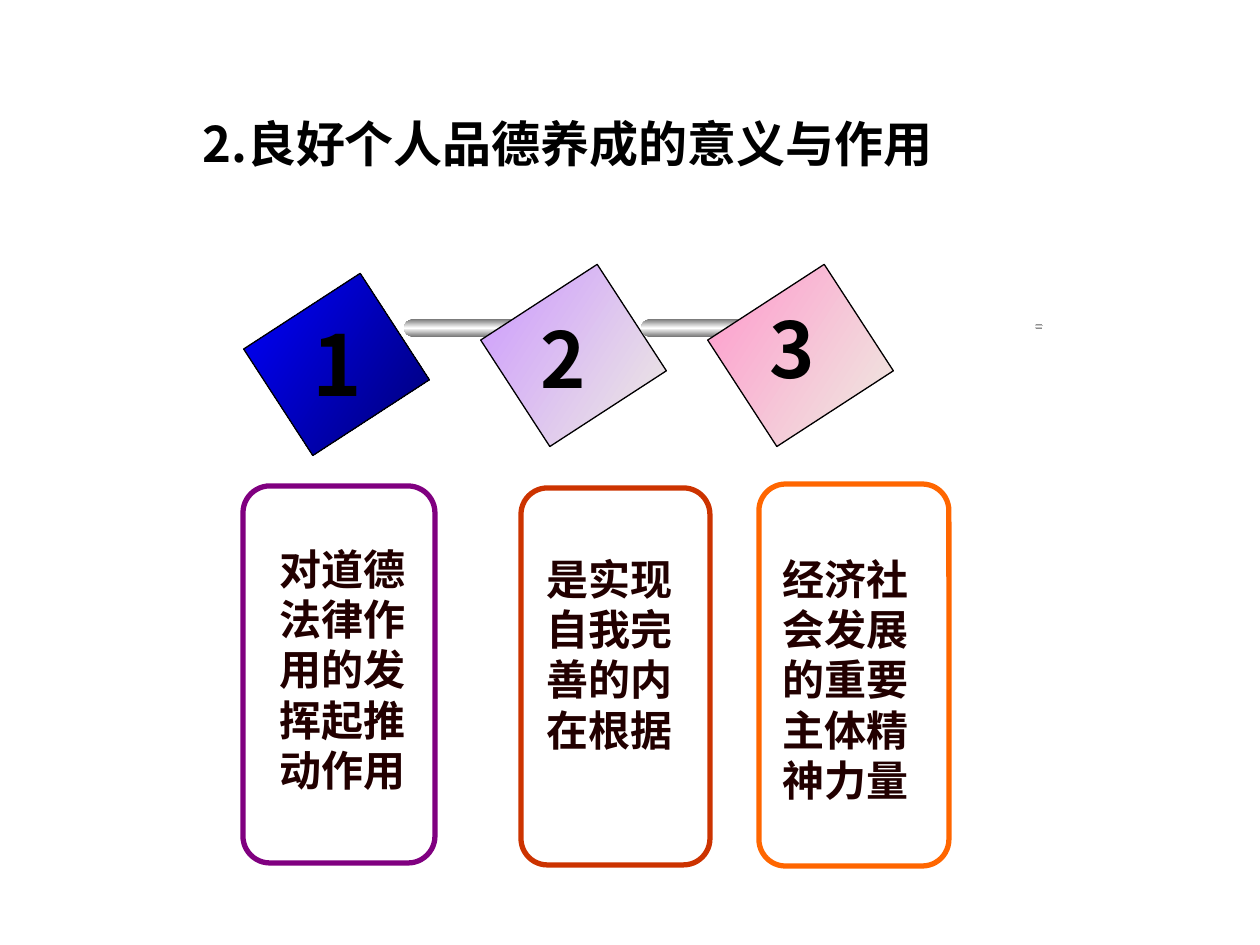
from lxml.etree import SubElement
from pptx import Presentation
from pptx.dml.color import RGBColor
from pptx.enum.shapes import MSO_SHAPE
from pptx.enum.text import MSO_ANCHOR, MSO_AUTO_SIZE, PP_ALIGN
from pptx.oxml.ns import qn
from pptx.util import Pt

PX = 914400 / 126
FONT = "Noto Sans CJK SC"
COLORS = {
    "black": "000000", "white": "FFFFFF", "yellow": "FFFF00", "text": "220000",
    "blue": "0000FF", "navy": "000076", "lilac": "CC99FF", "pink": "FF99CC",
    "cream": "EEECE1", "steel": "767676",
    "purple": "800080", "rust": "CC3300", "orange": "FF6600",
}
METAL = ("steel", "white", "steel")

# diamond place, gradient, digit, digit box, digit size
DIAMONDS = [
    ((273, 295), ("blue", "navy"), "1", (300, 306, 76, 113), 48),
    ((510, 286), ("lilac", "cream"), "2", (528, 305, 72, 106), 44),
    ((737, 286), ("pink", "cream"), "3", (757, 295, 117, 106), 44),
]
BARS_X = (404, 641)
# card box, outline, text box, lines
CARDS = [
    ((243, 486, 192, 377), "purple", (267, 537, 168, 265),
     ["对道德法律作用的发挥起推动作用"]),
    ((521, 488, 189, 377), "rust", (534, 547, 156, 214),
     ["是实现", "自我完", "善的内", "在根据"]),
    ((759, 484, 190, 382), "orange", (770, 547, 156, 265),
     ["经济社", "会发展", "的重要", "主体精", "神力量"]),
]


def px(*values):
    return [round(v * PX) for v in values]


def rgb(name):
    return RGBColor.from_string(COLORS[name])


def set_gradient(sp, names, angle):
    """Evenly spaced linear gradient that keeps its angle when the shape turns."""
    sp.fill.gradient()
    grad = sp.fill._xPr.find(qn("a:gradFill"))
    grad.set("rotWithShape", "0")
    for child in list(grad):
        grad.remove(child)
    stops = SubElement(grad, qn("a:gsLst"))
    for i, name in enumerate(names):
        pos = str(100000 * i // (len(names) - 1))
        stop = SubElement(stops, qn("a:gs"), pos=pos)
        SubElement(stop, qn("a:srgbClr"), val=COLORS[name])
    SubElement(grad, qn("a:lin"), ang=str(angle * 60000), scaled="0")


def add_shape(slide, kind, box, line=None, width=1):
    sp = slide.shapes.add_shape(kind, *px(*box))
    sp.shadow.inherit = False
    if line:
        sp.line.color.rgb = rgb(line)
        sp.line.width = Pt(width)
    else:
        sp.line.fill.background()
    return sp


def add_metal(slide, kind, box, line=None):
    set_gradient(add_shape(slide, kind, box, line), METAL, 90)


def add_bar(slide, x):
    add_metal(slide, MSO_SHAPE.OVAL, (x, 319, 21, 18))
    add_metal(slide, MSO_SHAPE.RECTANGLE, (x + 13, 319, 106, 18))
    add_metal(slide, MSO_SHAPE.OVAL, (x + 110, 319, 19, 18), "white")
    add_metal(slide, MSO_SHAPE.OVAL, (x + 120, 325, 5, 5))


def add_diamond(slide, place, gradient):
    sp = add_shape(slide, MSO_SHAPE.RECTANGLE, (*place, 127, 139), "black", 0.75)
    sp.rotation = 57
    set_gradient(sp, gradient, 33)


def add_run(p, text, size, color, font=FONT):
    r = p.add_run()
    r.text = text
    for key, value in {"name": font, "size": Pt(size), "bold": True}.items():
        setattr(r.font, key, value)
    r.font.color.rgb = rgb(color)
    SubElement(r.font._element, qn("a:ea"), typeface=font)


def format_frame(tf):
    settings = {"word_wrap": True, "auto_size": MSO_AUTO_SIZE.NONE,
                "vertical_anchor": MSO_ANCHOR.TOP}
    for key, value in settings.items():
        setattr(tf, key, value)


def add_text(slide, box, lines, size, color):
    tf = slide.shapes.add_textbox(*px(*box)).text_frame
    format_frame(tf)
    for i, line in enumerate(lines):
        p = tf.add_paragraph() if i else tf.paragraphs[0]
        add_run(p, line, size, color)


def set_title(slide):
    sp = slide.shapes.title
    sp.left, sp.top, sp.width, sp.height = px(181, 107, 772, 130)
    format_frame(sp.text_frame)
    p = sp.text_frame.paragraphs[0]
    p.alignment = PP_ALIGN.LEFT
    add_run(p, " ", 18, "yellow", "Arial")
    add_run(p, "2.良好个人品德养成的意义与作用", 28, "black")


def add_card(slide, box, outline, text_box, lines):
    sp = add_shape(slide, MSO_SHAPE.ROUNDED_RECTANGLE, box, outline, 3)
    sp.adjustments[0] = 0.14
    sp.fill.background()
    add_text(slide, text_box, lines, 24, "text")


def main():
    prs = Presentation()
    prs.slide_width, prs.slide_height = px(1260, 945)
    slide = prs.slides.add_slide(prs.slide_layouts[5])
    set_title(slide)
    for i, (place, gradient, *_) in enumerate(DIAMONDS):
        if i:
            add_bar(slide, BARS_X[i - 1])
        add_diamond(slide, place, gradient)
    add_metal(slide, MSO_SHAPE.OVAL, (1035, 324, 8, 5))
    for _, _, digit, box, size in DIAMONDS:
        add_text(slide, box, [digit], size, "black")
    for card in CARDS:
        add_card(slide, *card)
    prs.save("out.pptx")


if __name__ == "__main__":
    main()
